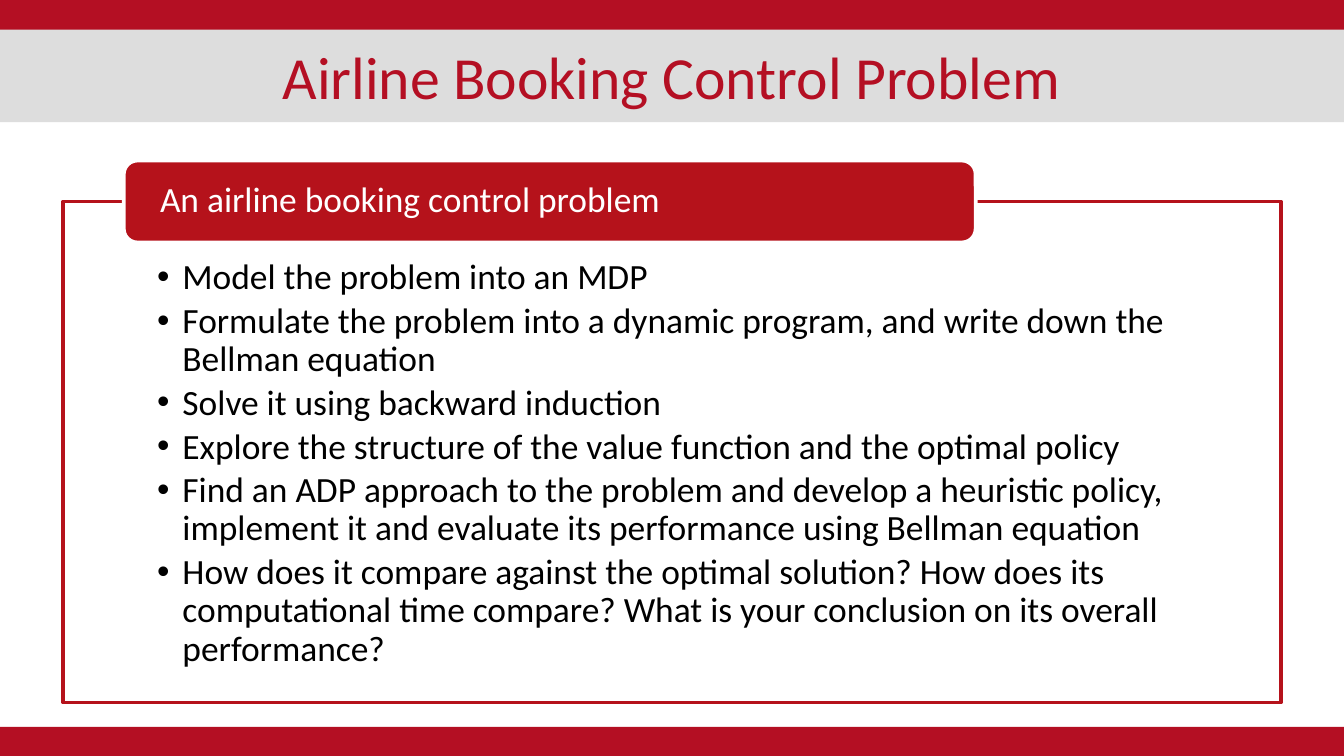
from lxml.etree import SubElement
from pptx import Presentation
from pptx.dml.color import RGBColor as RGB
from pptx.enum.shapes import MSO_SHAPE as SHAPE
from pptx.enum.text import MSO_ANCHOR as ANCHOR, PP_ALIGN as ALIGN
from pptx.oxml.ns import qn
from pptx.util import Cm, Pt

TITLE = "Airline Booking Control Problem"
HEADING = "An airline booking control problem"
TASKS = [
    "Model the problem into an MDP",
    "Formulate the problem into a dynamic program, and write down the Bellman equation",
    "Solve it using backward induction",
    "Explore the structure of the value function and the optimal policy",
    "Find an ADP approach to the problem and develop a heuristic policy, "
    "implement it and evaluate its performance using Bellman equation",
    "How does it compare against the optimal solution? How does its "
    "computational time compare? What is your conclusion on its overall performance?",
]

THEME = {
    "font": "Calibri", "title_size": 32, "body_size": 19,
    "band": "B40F23", "accent": "B5121B", "grey": "DDDDDD",
    "white": "FFFFFF", "black": "000000",
}
WIDTH, HEIGHT = 25.4, 14.29
TOP_BAND, BOTTOM_BAND = 0.58, 0.55
MARGIN, FRAME_TOP, FRAME_HEIGHT = 1.19, 3.81, 9.47
TAB_LEFT, TAB_WIDTH, TAB_HEIGHT = 2.34, 16.1, 1.55
INDENT = 0.48


def color(name):
    return RGB.from_string(THEME[name])


def add_box(s, kind, box, fill, line=None):
    sp = s.shapes.add_shape(kind, *map(Cm, box))
    sp.shadow.inherit = False
    sp.fill.solid()
    sp.fill.fore_color.rgb = color(fill)
    if line:
        sp.line.color.rgb = color(line)
        sp.line.width = Pt(2)
    else:
        sp.line.fill.background()
    return sp


def set_text(sp, lines, size, ink, insets, align=ALIGN.LEFT, anchor=ANCHOR.MIDDLE):
    tf = sp.text_frame
    tf.word_wrap = True
    tf.vertical_anchor = anchor
    tf.margin_left, tf.margin_top, tf.margin_right, tf.margin_bottom = map(Cm, insets)
    tf.text = "\n".join(lines)
    for p in tf.paragraphs:
        p.alignment = align
        for r in p.runs:
            r.font.name = THEME["font"]
            r.font.size = Pt(THEME[size])
            r.font.color.rgb = color(ink)
    return tf.paragraphs


def add_bullet(p):
    pPr = p._p.get_or_add_pPr()
    pPr.set("marL", str(Cm(INDENT)))
    pPr.set("indent", str(-Cm(INDENT)))
    SubElement(pPr, qn("a:buFont"), typeface="Arial")
    SubElement(pPr, qn("a:buChar"), char="•")


def main():
    prs = Presentation()
    prs.slide_width, prs.slide_height = Cm(WIDTH), Cm(HEIGHT)
    s = prs.slides.add_slide(prs.slide_layouts[6])

    for top, height in ((0, TOP_BAND), (HEIGHT - BOTTOM_BAND, BOTTOM_BAND)):
        add_box(s, SHAPE.RECTANGLE, (0, top, WIDTH, height), "band")

    title = add_box(s, SHAPE.RECTANGLE, (0, 0.56, WIDTH, 1.75), "grey")
    set_text(title, [TITLE], "title_size", "band", (0, 0, 0, 0), ALIGN.CENTER)

    frame = add_box(s, SHAPE.RECTANGLE,
                    (MARGIN, FRAME_TOP, WIDTH - 2 * MARGIN, FRAME_HEIGHT), "white", "accent")
    for p in set_text(frame, TASKS, "body_size", "black", (1.78, 1.09, 1.78, 0.38),
                      anchor=ANCHOR.TOP):
        p.line_spacing = 0.9
        p.space_after = Pt(0.15 * THEME["body_size"])
        add_bullet(p)

    tab = add_box(s, SHAPE.ROUNDED_RECTANGLE,
                  (TAB_LEFT, FRAME_TOP - TAB_HEIGHT / 2, TAB_WIDTH, TAB_HEIGHT),
                  "accent", "white")
    heading = set_text(tab, [HEADING], "body_size", "white", (0.61, 0, 0.61, 0))[0]
    heading.line_spacing = 0.9

    prs.save("out.pptx")


if __name__ == "__main__":
    main()
